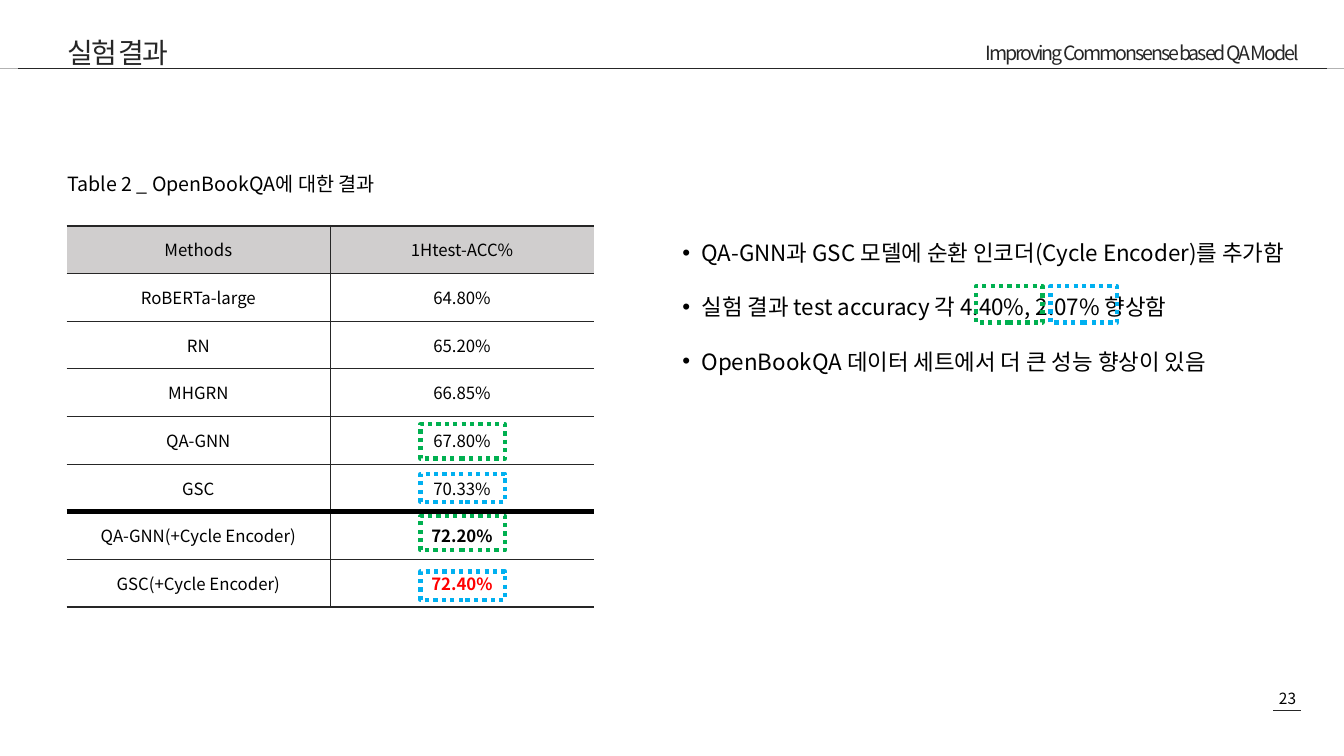
from lxml import etree
from pptx import Presentation
from pptx.dml.color import RGBColor
from pptx.enum import dml, shapes, text
from pptx.oxml.ns import qn
from pptx.util import Inches, Pt

# Content
FONT = "Noto Sans CJK KR"
COLORS = {"ink": "000000", "rule": "262626", "head": "D0CECE",
          "best": "FF0000", "green": "00B050", "blue": "00B0F0"}
TITLE = "실험 결과"
TOPIC = "Improving Commonsense based QA Model"
CAPTION = "Table 2 _ OpenBookQA에 대한 결과"
PAGE = "23"
RESULTS = [
    ("Methods", "1Htest-ACC%"),
    ("RoBERTa-large", "64.80%"),
    ("RN", "65.20%"),
    ("MHGRN", "66.85%"),
    ("QA-GNN", "67.80%"),
    ("GSC", "70.33%"),
    ("QA-GNN(+Cycle Encoder)", "72.20%"),
    ("GSC(+Cycle Encoder)", "72.40%"),
]
FIRST_CYCLE_ROW = 6
FINDINGS = [
    "QA-GNN과 GSC 모델에 순환 인코더(Cycle Encoder)를 추가함",
    "실험 결과 test accuracy 각 4.40%, 2.07% 향상함",
    "OpenBookQA 데이터 세트에서 더 큰 성능 향상이 있음",
]
# Dotted frames: color, left, top, width, height
FRAMES = [
    ("green", 4.17, 4.21, 0.84, 0.34),
    ("green", 4.17, 5.12, 0.84, 0.34),
    ("green", 9.68, 2.84, 0.66, 0.36),
    ("blue", 10.42, 2.84, 0.66, 0.36),
    ("blue", 4.17, 5.67, 0.84, 0.28),
    ("blue", 4.17, 4.70, 0.84, 0.28),
]
ALIGN = text.PP_ALIGN
ANCHOR = text.MSO_ANCHOR

prs = Presentation()
prs.slide_width, prs.slide_height = Inches(13.33), Inches(7.5)
s = prs.slides.add_slide(prs.slide_layouts[6])


def rgb(name):
    return RGBColor.from_string(COLORS[name])


def style(p, size, color="ink", bold=False, tracking=None):
    for r in p.runs:
        r.font.size, r.font.bold, r.font.name = Pt(size), bold, FONT
        r.font.color.rgb = rgb(color)
        rPr = r.font._element
        etree.SubElement(rPr, qn("a:ea")).set("typeface", FONT)
        if tracking:
            rPr.set("spc", str(int(tracking * 100)))


def add_text(box, lines, size, color="ink", align=ALIGN.LEFT, anchor=ANCHOR.TOP,
             spacing=None, tracking=None):
    tf = s.shapes.add_textbox(*map(Inches, box)).text_frame
    tf.word_wrap, tf.vertical_anchor = True, anchor
    tf.text = "\n".join(lines)
    for p in tf.paragraphs:
        p.alignment = align
        if spacing:
            p.line_spacing = spacing
        style(p, size, color, tracking=tracking)
    return tf


def add_rule(x1, x2, y):
    line = s.shapes.add_connector(shapes.MSO_CONNECTOR.STRAIGHT,
                                  *map(Inches, (x1, y, x2, y)))
    line.line.color.rgb, line.line.width = rgb("rule"), Pt(0.5)
    etree.SubElement(line._element.spPr, qn("a:effectLst"))


def add_rect(left, top, width, height):
    sp = s.shapes.add_shape(shapes.MSO_SHAPE.RECTANGLE,
                            *map(Inches, (left, top, width, height)))
    sp.shadow.inherit = False
    return sp


def add_borders(cell, edges):
    tcPr = cell._tc.get_or_add_tcPr()
    for side, (color, width) in zip("LRTB", edges):
        ln = etree.SubElement(tcPr, qn("a:ln" + side), w=str(Pt(width)))
        if width:
            fill = etree.SubElement(ln, qn("a:solidFill"))
            etree.SubElement(fill, qn("a:srgbClr"), val=COLORS[color])
        else:
            etree.SubElement(ln, qn("a:noFill"))


# Page number and header
add_text((12.43, 6.79, 0.68, 0.29), [PAGE], 11, align=ALIGN.CENTER)
add_rule(12.63, 12.9, 7.05)
add_text((7.23, 0.36, 5.75, 0.38), [TOPIC], 14, "rule", ALIGN.RIGHT, tracking=-1.5)
band = add_rect(0, 0.68, 13.33, 0)
band.fill.solid()
band.fill.fore_color.rgb = rgb("rule")
band.line.fill.background()
add_rule(0.18, 13.16, 0.68)
add_text((0.57, 0.13, 6.1, 0.68), [TITLE], 20, "rule", anchor=ANCHOR.MIDDLE,
         spacing=1.3, tracking=-1.5)

# Results table
add_text((0.57, 1.54, 5.77, 0.42), [CAPTION], 14, spacing=1.5)
last = len(RESULTS) - 1
tbl = s.shapes.add_table(len(RESULTS), 2,
                         *map(Inches, (0.66, 2.24, 5.23, 3.78))).table
tbl.first_row = tbl.horz_banding = False
NONE, THIN, EDGE, SPLIT = ("rule", 0), ("rule", 0.5), ("rule", 1.5), ("ink", 4.5)
row_rules = [THIN] * (len(RESULTS) + 1)
row_rules[0] = row_rules[-1] = EDGE
row_rules[FIRST_CYCLE_ROW] = SPLIT
for i, row in enumerate(RESULTS):
    for j, value in enumerate(row):
        cell = tbl.cell(i, j)
        cell.text, cell.vertical_anchor = value, ANCHOR.MIDDLE
        p = cell.text_frame.paragraphs[0]
        p.alignment = ALIGN.CENTER
        style(p, 12, "best" if (i, j) == (last, 1) else "ink",
              bold=j == 1 and i >= FIRST_CYCLE_ROW)
        sides = (THIN, NONE) if j else (NONE, THIN)
        add_borders(cell, (*sides, row_rules[i], row_rules[i + 1]))
        if i == 0:
            cell.fill.solid()
            cell.fill.fore_color.rgb = rgb("head")
        else:
            cell.fill.background()

# Findings
tf = add_text((6.67, 2.19, 6.87, 2.03), FINDINGS, 16, align=ALIGN.JUSTIFY, spacing=1.5)
for i, p in enumerate(tf.paragraphs):
    if i:
        p.space_before = Pt(10)
    pPr = p._p.get_or_add_pPr()
    pPr.set("marL", str(Inches(0.19)))
    pPr.set("indent", str(-Inches(0.19)))
    etree.SubElement(pPr, qn("a:buFont"), typeface="Arial")
    etree.SubElement(pPr, qn("a:buChar"), char="•")

# Dotted frames pairing each gain with its scores
for color, *box in FRAMES:
    sp = add_rect(*box)
    sp.fill.background()
    sp.line.color.rgb, sp.line.width = rgb(color), Pt(3)
    sp.line.dash_style = dml.MSO_LINE.ROUND_DOT

prs.save("out.pptx")
